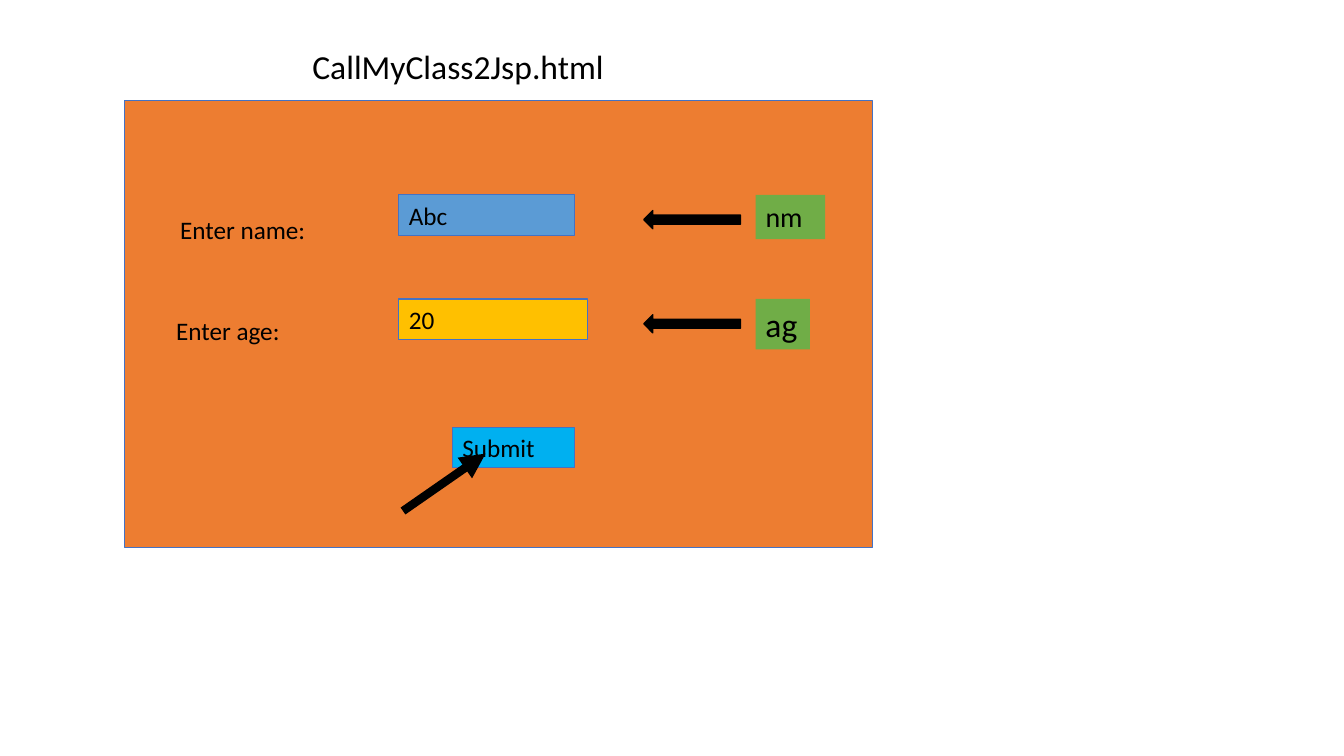
from dataclasses import dataclass

from pptx import Presentation
from pptx.dml.color import RGBColor
from pptx.enum.shapes import MSO_CONNECTOR, MSO_SHAPE
from pptx.enum.text import MSO_ANCHOR, MSO_AUTO_SIZE, PP_ALIGN
from pptx.oxml.ns import qn
from pptx.util import Pt
from lxml.etree import SubElement


@dataclass(frozen=True)
class Theme:
    """Colours, font and type sizes of the slide."""
    font: str = "Calibri"
    ink: str = "000000"
    outline: str = "4472C4"
    panel: str = "ED7D31"
    name_field: str = "5B9BD5"
    age_field: str = "FFC000"
    button: str = "00B0F0"
    tag: str = "70AD47"
    body_size: float = 18
    tag_size: float = 20
    title_size: float = 24


THEME = Theme()
FIELD_LEFT = 285.12
FIELD_HEIGHT = 28.8
TAG_LEFT = 540


def write_text(shape, text, size):
    """Put left-aligned text at the top of a shape."""
    frame = shape.text_frame
    frame.text = text
    frame.word_wrap = True
    frame.auto_size = MSO_AUTO_SIZE.NONE
    frame.vertical_anchor = MSO_ANCHOR.TOP
    frame.margin_left = frame.margin_right = Pt(7.2)
    frame.margin_top = frame.margin_bottom = Pt(3.6)
    paragraph = frame.paragraphs[0]
    paragraph.alignment = PP_ALIGN.LEFT
    font = paragraph.runs[0].font
    font.name = THEME.font
    font.size = Pt(size)
    font.color.rgb = RGBColor.from_string(THEME.ink)


def add_title(slide, text, left, top, width, height):
    """Move and format the title placeholder."""
    title = slide.shapes.title
    title.left, title.top, title.width, title.height = map(Pt, (left, top, width, height))
    write_text(title, text, THEME.title_size)


def add_box(slide, left, top, width, height, fill, line=None, line_width=0.75,
            kind=MSO_SHAPE.RECTANGLE):
    """Add a filled preset shape, outlined if a line colour is given."""
    shape = slide.shapes.add_shape(kind, *map(Pt, (left, top, width, height)))
    shape.shadow.inherit = False
    shape.fill.solid()
    shape.fill.fore_color.rgb = RGBColor.from_string(fill)
    if line:
        shape.line.color.rgb = RGBColor.from_string(line)
        shape.line.width = Pt(line_width)
    else:
        shape.line.fill.background()
    return shape


def add_field(slide, text, left, top, width, fill):
    """Add an outlined form control with its text."""
    field = add_box(slide, left, top, width, FIELD_HEIGHT, fill, THEME.outline)
    write_text(field, text, THEME.body_size)


def add_label(slide, text, left, top):
    """Add the label of a form field."""
    label = slide.shapes.add_textbox(*map(Pt, (left, top, 126.72, FIELD_HEIGHT)))
    write_text(label, text, THEME.body_size)


def add_tag(slide, text, top, width, height, size):
    """Add a parameter tag and the block arrow from it to its field."""
    write_text(add_box(slide, TAG_LEFT, top, width, height, THEME.tag), text, size)
    add_box(slide, 460.08, top + 11.2, 69.12, 12.96, THEME.ink, THEME.ink, 1,
            MSO_SHAPE.LEFT_ARROW)


def add_pointer(slide, start, end):
    """Add a thick straight arrow."""
    pointer = slide.shapes.add_connector(MSO_CONNECTOR.STRAIGHT, *map(Pt, start + end))
    pointer.line.color.rgb = RGBColor.from_string(THEME.ink)
    pointer.line.width = Pt(6)
    properties = pointer.element.spPr
    SubElement(properties.find(qn("a:ln")), qn("a:tailEnd"), type="triangle")
    SubElement(properties, qn("a:effectLst"))


def main():
    """Build the form slide and save it."""
    presentation = Presentation()
    presentation.slide_width, presentation.slide_height = Pt(960.48), Pt(540)
    slide = presentation.slides.add_slide(presentation.slide_layouts[5])
    name_top, age_top = 139.2, 213.6

    add_title(slide, "CallMyClass2Jsp.html", 216, 29.52, 231.84, 36)
    add_box(slide, 89.28, 72, 534.24, 318.96, THEME.panel, THEME.outline)
    add_field(slide, "Abc", FIELD_LEFT, name_top, 125.28, THEME.name_field)
    add_field(slide, "20", FIELD_LEFT, age_top, 134.64, THEME.age_field)
    add_label(slide, "Enter name:", 121.68, 149.76)
    add_label(slide, "Enter age:", 118.8, 221.76)
    add_field(slide, "Submit", 323.28, 305.28, 87.12, THEME.button)
    add_pointer(slide, (288, 365.04), (347.04, 324))
    add_tag(slide, "nm", name_top, 49.68, 31.68, THEME.tag_size)
    add_tag(slide, "ag", age_top, 38.88, 36, THEME.title_size)
    presentation.save("out.pptx")


if __name__ == "__main__":
    main()
